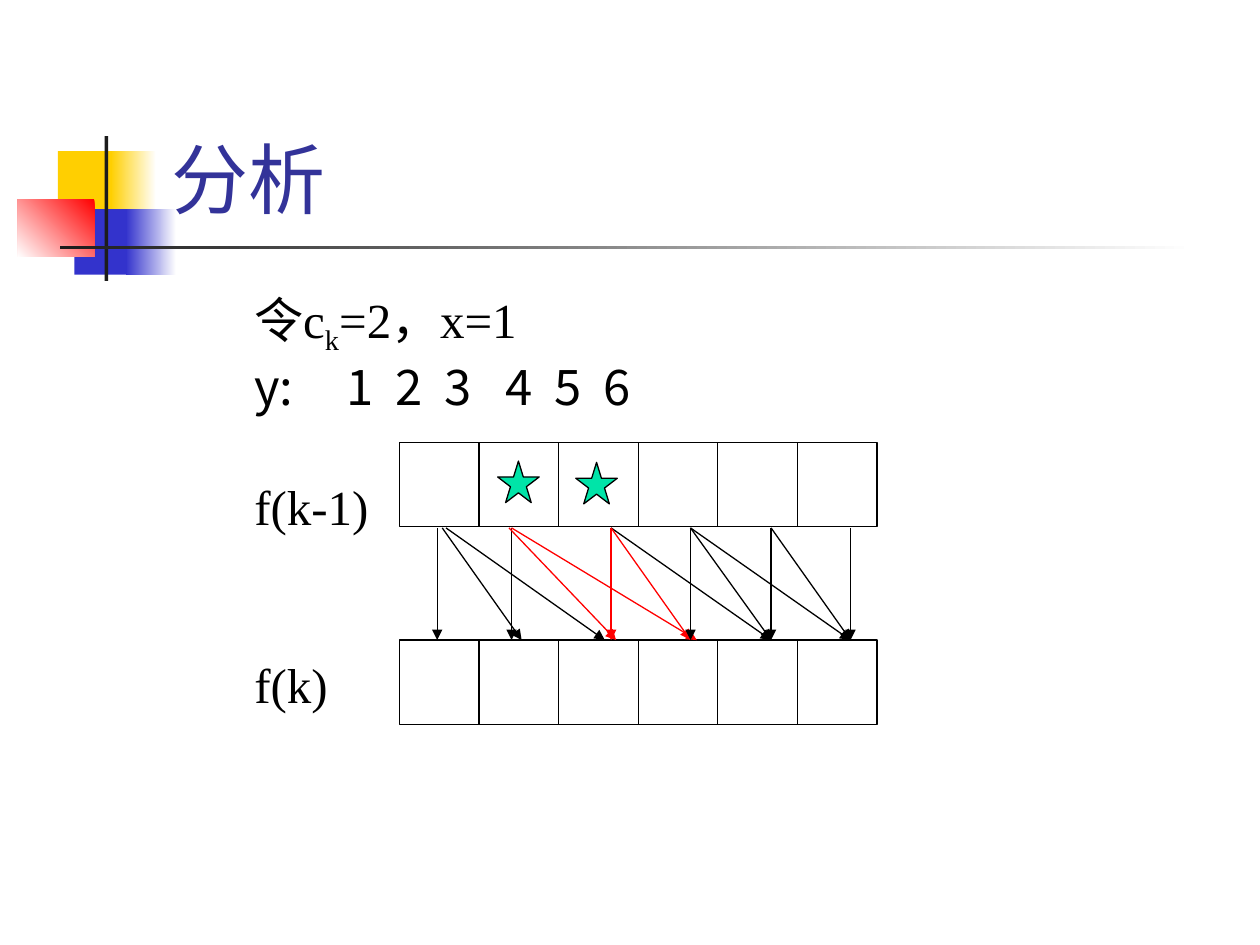
from lxml.etree import SubElement
from pptx import Presentation
from pptx.dml.color import RGBColor
from pptx.enum.shapes import MSO_CONNECTOR, MSO_SHAPE
from pptx.enum.text import MSO_ANCHOR, PP_ALIGN
from pptx.oxml.ns import qn
from pptx.util import Inches, Pt

COLORS = {
    "yellow": "FFCF01", "blue": "3333CC", "red": "FF0000", "dark": "1C1C1C",
    "white": "FFFFFF", "black": "000000", "title": "333399", "star": "00E4A8",
}
SERIF, SANS, TITLE_FONT = "Times New Roman", "Noto Sans CJK SC", "Karla"

TITLE = "分析"
DECORATION = [
    ((0.46, 1.2, 0.48, 0.52), ("yellow",), 0),
    ((0.88, 1.2, 0.36, 0.52), ("white", "yellow"), 180),
    ((0.59, 1.66, 0.46, 0.52), ("blue",), 0),
    ((1, 1.66, 0.4, 0.52), ("white", "blue"), 180),
    ((0.14, 1.58, 0.61, 0.46), ("red", "white"), 225),
    ((0.83, 1.08, 0.03, 1.15), ("dark",), 0),
    ((0.48, 1.95, 9, 0.03), ("white", "dark"), 180),
]
LINES = [
    (["令c", "k", "=2，x=1"], SERIF, 0),
    (["y:\t1\t2\t3\t4\t5\t6"], SANS, 0),
    (["f(k-1)"], SERIF, 35),
    (["f(k)"], SERIF, 68),
]
SUBSCRIPT = "k"
TAB_STOPS = [0.73, 1.12, 1.51, 1.99, 2.38, 2.77]

ROW_LEFT, ROW_WIDTH, ROW_HEIGHT, CELLS = 3.17, 3.79, 0.67, 6
ROW_TOPS = [3.51, 5.08]
ARROW_TOP, ARROW_BOTTOM = 4.19, 5.08
ARROWS = [
    (3.47, 3.47, "black"), (3.51, 4.14, "black"), (3.54, 4.8, "black"),
    (4.06, 4.06, "black"), (4.04, 4.89, "red"), (4.06, 5.53, "red"),
    (4.85, 4.85, "red"), (4.85, 6.12, "black"), (4.85, 5.48, "red"),
    (5.48, 5.48, "black"), (5.48, 6.12, "black"), (5.48, 6.75, "black"),
    (6.12, 6.12, "black"), (6.12, 6.75, "black"), (6.75, 6.75, "black"),
]
STARS = [(3.95, 3.66), (4.57, 3.67)]
STAR_SIZE = 0.33


def color(name):
    return RGBColor.from_string(COLORS[name])


def format_run(run, font_name, size, color_name):
    run.font.name = font_name
    run.font.size = Pt(size)
    run.font.color.rgb = color(color_name)
    SubElement(run.font._element, qn("a:ea")).set("typeface", SANS)


def add_shape(slide, kind, box, fills, angle=0, outlined=False):
    shape = slide.shapes.add_shape(kind, *map(Inches, box))
    shape.shadow.inherit = False
    if len(fills) == 1:
        shape.fill.solid()
        shape.fill.fore_color.rgb = color(fills[0])
    else:
        shape.fill.gradient()
        shape.fill.gradient_angle = angle
        for stop, name in zip(shape.fill.gradient_stops, fills):
            stop.color.rgb = color(name)
    if outlined:
        shape.line.color.rgb = color("black")
        shape.line.width = Pt(0.75)
    else:
        shape.line.fill.background()
    return shape


def add_line(slide, start, end, color_name="black", arrow=False):
    connector = slide.shapes.add_connector(
        MSO_CONNECTOR.STRAIGHT, *map(Inches, start + end))
    connector.line.color.rgb = color(color_name)
    connector.line.width = Pt(0.75)
    properties = connector._element.spPr
    if arrow:
        SubElement(properties.find(qn("a:ln")), qn("a:tailEnd")).set("type", "triangle")
    SubElement(properties, qn("a:effectLst"))
    return connector


def add_title(slide):
    title = slide.shapes.title
    title.left, title.top, title.width, title.height = map(Inches, (1.26, 0.23, 8.52, 1.6))
    title.text_frame.text = TITLE
    title.text_frame.vertical_anchor = MSO_ANCHOR.BOTTOM
    paragraph = title.text_frame.paragraphs[0]
    paragraph.alignment = PP_ALIGN.LEFT
    format_run(paragraph.runs[0], TITLE_FONT, 44, "title")


def add_body(slide):
    text_frame = slide.shapes.add_textbox(*map(Inches, (1.92, 2.25, 6.42, 4.46))).text_frame
    text_frame.word_wrap = True
    for index, (pieces, font_name, space) in enumerate(LINES):
        paragraph = text_frame.add_paragraph() if index else text_frame.paragraphs[0]
        paragraph.alignment = PP_ALIGN.LEFT
        paragraph.space_before = Pt(space)
        if "\t" in pieces[0]:
            tab_list = SubElement(paragraph._p.get_or_add_pPr(), qn("a:tabLst"))
            for position in TAB_STOPS:
                tab = SubElement(tab_list, qn("a:tab"))
                tab.set("pos", str(Inches(position)))
                tab.set("algn", "l")
        for piece in pieces:
            run = paragraph.add_run()
            run.text = piece
            format_run(run, font_name, 28, "black")
            if piece == SUBSCRIPT:
                run.font._element.set("baseline", "-25000")


def add_row(slide, top):
    row = add_shape(slide, MSO_SHAPE.RECTANGLE, (ROW_LEFT, top, ROW_WIDTH, ROW_HEIGHT),
                    ("white",), outlined=True)
    for cell in range(1, CELLS):
        x = ROW_LEFT + cell * ROW_WIDTH / CELLS
        divider = add_line(slide, (x, top), (x, top + ROW_HEIGHT))
        if cell * 2 == CELLS:
            divider.begin_connect(row, 0)
            divider.end_connect(row, 2)


def main():
    presentation = Presentation()
    presentation.slide_width, presentation.slide_height = Inches(10), Inches(7.5)
    slide = presentation.slides.add_slide(presentation.slide_layouts[5])
    for box, fills, angle in DECORATION:
        add_shape(slide, MSO_SHAPE.RECTANGLE, box, fills, angle)
    add_title(slide)
    add_body(slide)
    for top in ROW_TOPS:
        add_row(slide, top)
    for start, end, color_name in ARROWS:
        add_line(slide, (start, ARROW_TOP), (end, ARROW_BOTTOM), color_name, arrow=True)
    for left, top in STARS:
        add_shape(slide, MSO_SHAPE.STAR_5_POINT, (left, top, STAR_SIZE, STAR_SIZE),
                  ("star",), outlined=True)
    presentation.save("out.pptx")


if __name__ == "__main__":
    main()
